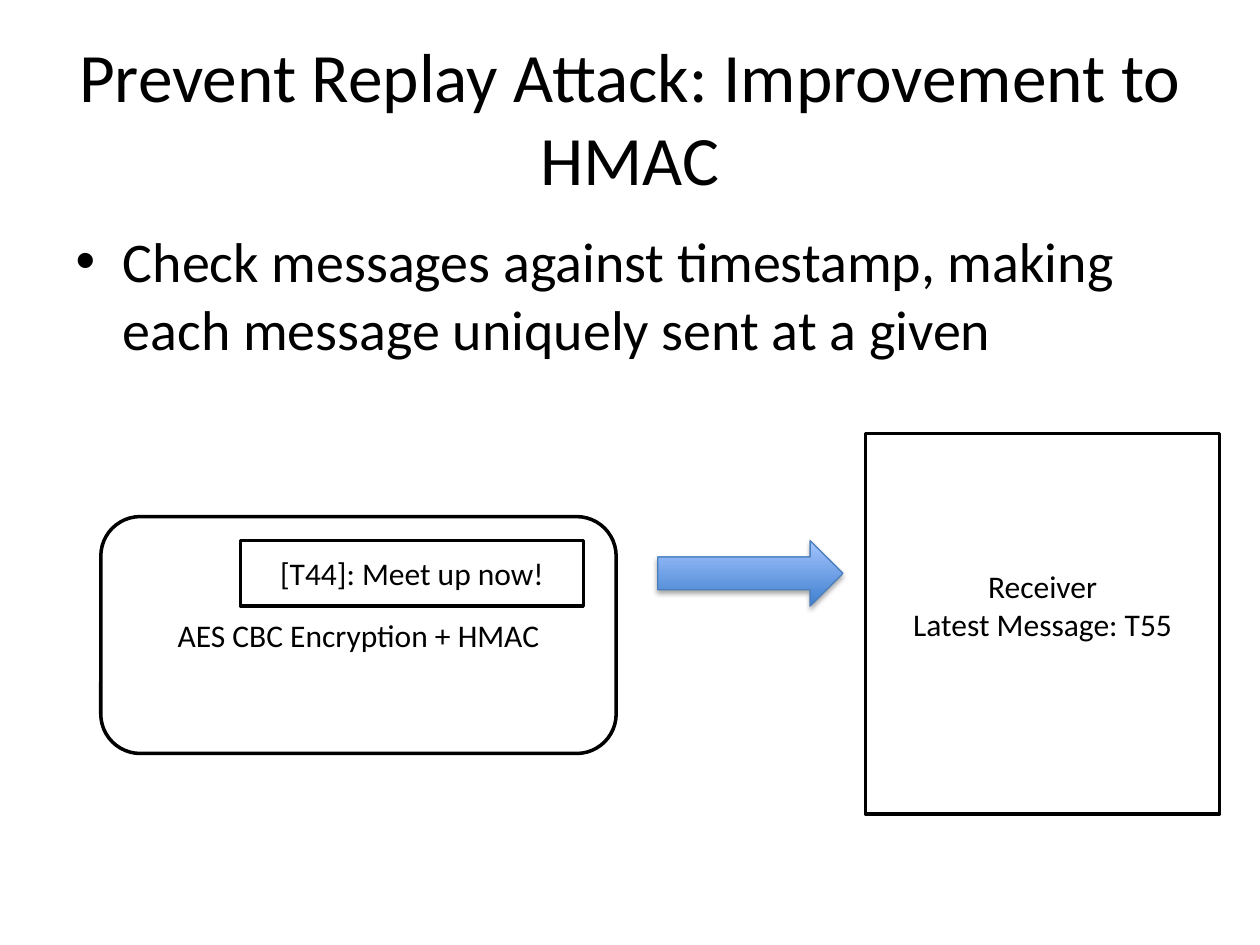
"""Build a slide on preventing replay attacks with timestamped messages."""
from typing import NamedTuple

from lxml.etree import SubElement as Sub
from pptx import Presentation as Deck
from pptx.dml.color import RGBColor as Rgb
from pptx.enum.shapes import MSO_SHAPE as Kind
from pptx.enum.text import MSO_ANCHOR as Anchor, MSO_AUTO_SIZE as Fit, PP_ALIGN as Align
from pptx.oxml.ns import qn
from pptx.util import Inches, Pt

WIDE, HIGH = 10, 7.5
INK = {"text": "000000", "paper": "FFFFFF", "deep": "3F80CE",
       "pale": "A4C4FF", "edge": "4B7EBC"}
ROW, TALL = 4.29, 0.52


class Box(NamedTuple):
    kind: Kind
    place: tuple
    lines: tuple
    foot: float = 0.05


BOXES = (
    Box(Kind.ROUNDED_RECTANGLE, (0.8, 4.1, 4.09, 1.88), ("AES CBC Encryption + HMAC",)),
    Box(Kind.RECTANGLE, (1.91, ROW, 2.72, TALL), ("[T44]: Meet up now!",)),
    Box(Kind.RECTANGLE, (6.87, 3.44, 2.81, 3.02),
        ("Receiver", "Latest Message: T55"), 0.35),
)


def tint(name: str) -> Rgb:
    return Rgb.from_string(INK[name])


def write(shape, *lines: str, size: float = 18, align=Align.CENTER,
          anchor=Anchor.MIDDLE, foot: float = 0.05) -> None:
    frame = shape.text_frame
    frame.text = "\n".join(lines)
    frame.word_wrap = True
    frame.auto_size = Fit.NONE
    frame.vertical_anchor = anchor
    frame.margin_bottom = Inches(foot)
    for para in frame.paragraphs:
        para.alignment = align
        for run in para.runs:
            run.font.name = "Calibri"
            run.font.size = Pt(size)
            run.font.color.rgb = tint("text")


def put(shape, place: tuple) -> None:
    shape.left, shape.top, shape.width, shape.height = map(Inches, place)


def draw(slide, box: Box) -> None:
    shape = slide.shapes.add_shape(box.kind, *map(Inches, box.place))
    shape.shadow.inherit = False
    shape.fill.solid()
    shape.fill.fore_color.rgb = tint("paper")
    shape.line.color.rgb = tint("text")
    shape.line.width = Pt(2)
    write(shape, *box.lines, foot=box.foot)


def point(slide, place: tuple) -> None:
    arrow = slide.shapes.add_shape(Kind.RIGHT_ARROW, *map(Inches, place))
    arrow.fill.gradient()
    arrow.fill.gradient_angle = 90
    for stop, name, spot in zip(arrow.fill.gradient_stops, ("deep", "pale"), (0, 1)):
        stop.color.rgb = tint(name)
        stop.position = spot
    arrow.line.color.rgb = tint("edge")
    arrow.line.width = Pt(0.75)
    arrow.shadow.inherit = False
    glow = arrow.element.spPr.find(qn("a:effectLst"))
    shade = Sub(glow, qn("a:outerShdw"), blurRad=str(Pt(3.1)), dist=str(Pt(1.8)),
                dir="5400000", rotWithShape="0")
    hue = Sub(shade, qn("a:srgbClr"), val=INK["text"])
    Sub(hue, qn("a:alpha"), val="35000")


def main() -> None:
    deck = Deck()
    deck.slide_width, deck.slide_height = Inches(WIDE), Inches(HIGH)
    slide = deck.slides.add_slide(deck.slide_layouts[1])
    title, body = slide.placeholders
    put(title, (0.5, 0.3, 9, 1.25))
    write(title, "Prevent Replay Attack: Improvement to HMAC", size=39.6)
    put(body, (0.5, 1.75, 9, 2.88))
    write(body, "Check messages against timestamp, making each message "
          "uniquely sent at a given", size=32, align=Align.LEFT, anchor=Anchor.TOP)
    for box in BOXES:
        draw(slide, box)
    point(slide, (5.22, ROW, 1.47, TALL))
    deck.save("out.pptx")


main()
